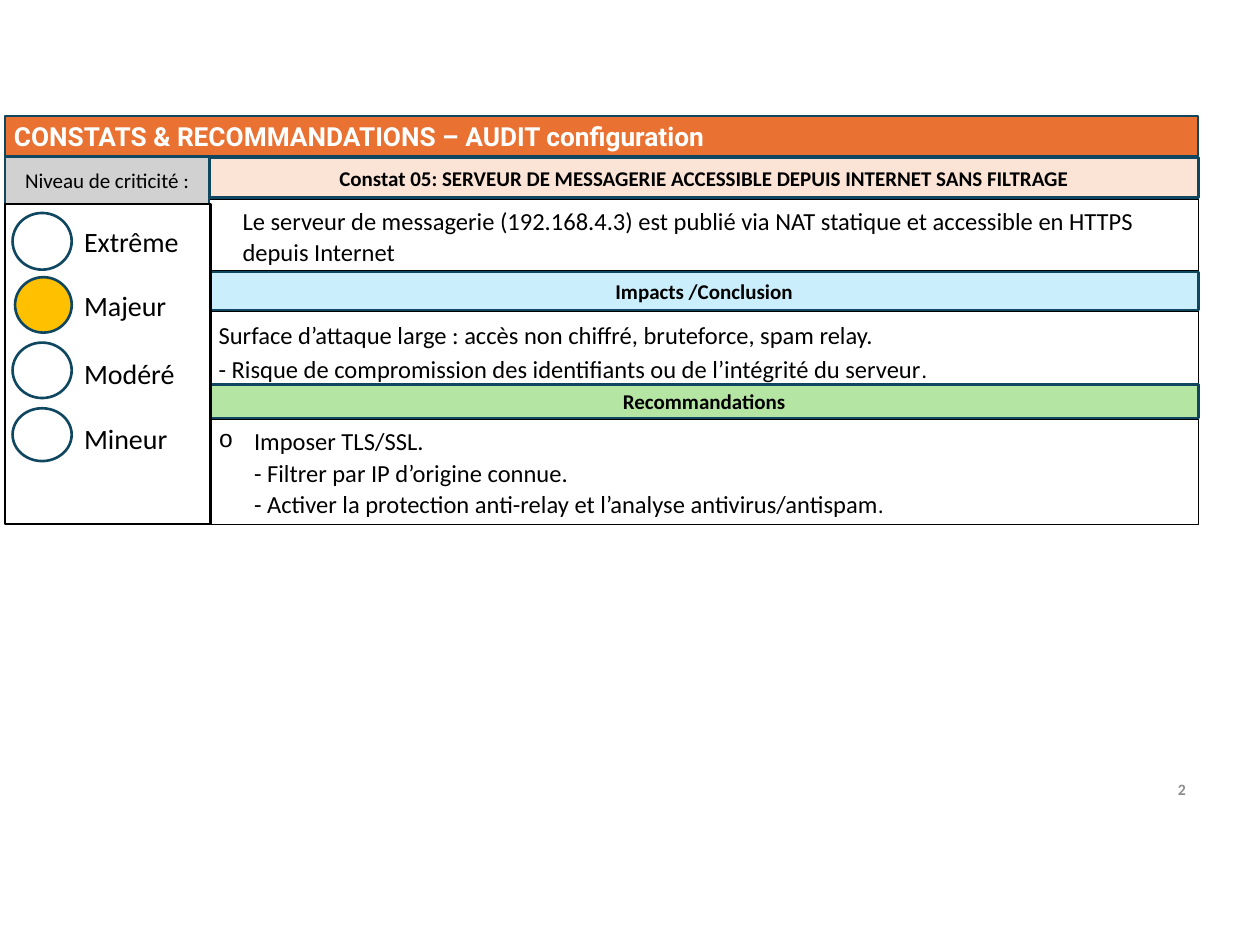
from lxml import etree
from pptx import Presentation
from pptx import util as u
from pptx.dml.color import RGBColor
from pptx.enum import shapes, text
from pptx.oxml.ns import qn

Pt = u.Pt
BLACK = RGBColor(0x00, 0x00, 0x00)
WHITE = RGBColor(0xFF, 0xFF, 0xFF)
NAVY = RGBColor(0x10, 0x47, 0x60)
ORANGE = RGBColor(0xE9, 0x71, 0x32)
PEACH = RGBColor(0xFB, 0xE3, 0xD6)
SKY = RGBColor(0xCA, 0xEE, 0xFB)
GREEN = RGBColor(0xB4, 0xE5, 0xA2)
SILVER = RGBColor(0xD1, 0xD1, 0xD1)
AMBER = RGBColor(0xFF, 0xC0, 0x00)
GREY = RGBColor(0x8C, 0x8C, 0x8C)

LEFT = 2.9
COLUMN_LEFT, COLUMN_WIDTH = 119.9, 565
LEVELS = [
    ("Extrême", 7.2, 121.7, 33.8, 32.4, 124.6),
    ("Majeur", 8.6, 158.4, 32.4, 31.7, 161.3),
    ("Modéré", 7.2, 195.8, 33.8, 31.7, 200.2),
    ("Mineur", 7.2, 233.3, 33.8, 30.2, 237.6),
]
BANDS = [
    ("Constat 05: SERVEUR DE MESSAGERIE ACCESSIBLE DEPUIS INTERNET SANS FILTRAGE", 90, 23, PEACH),
    ("Impacts /Conclusion", 155.5, 21.6, SKY),
    ("Recommandations", 219.6, 19.4, GREEN),
]
FINDING = ("Le serveur de messagerie (192.168.4.3) est publié via NAT statique "
           "et accessible en HTTPS depuis Internet")
IMPACTS = ("Surface d’attaque large : accès non chiffré, bruteforce, spam relay.\v"
           "- Risque de compromission des identifiants ou de l’intégrité du serveur")
ADVICE = ("Imposer TLS/SSL.\v- Filtrer par IP d’origine connue.\v"
          "- Activer la protection anti-relay et l’analyse antivirus/antispam")


def place(item, left, top, width, height):
    """Move and size an item, in points."""
    item.left, item.top, item.width, item.height = map(Pt, (left, top, width, height))


def paint(item, fill, line, weight):
    """Set the fill, if any, and the outline of an item."""
    if fill is None:
        item.fill.background()
    else:
        item.fill.solid()
        item.fill.fore_color.rgb = fill
    item.line.color.rgb = line
    item.line.width = Pt(weight)


def style(paragraph, size, color=BLACK, bold=False, align=text.PP_ALIGN.LEFT, face="Calibri"):
    """Set the font and alignment of a paragraph."""
    paragraph.alignment = align
    font = paragraph.font
    font.name, font.size, font.bold = face, Pt(size), bold
    font.color.rgb = color


def write(item, words, anchor=text.MSO_ANCHOR.TOP, inset=5.04):
    """Put one wrapped paragraph in an item and return it."""
    frame = item.text_frame
    frame.word_wrap = True
    frame.auto_size = text.MSO_AUTO_SIZE.NONE
    frame.vertical_anchor = anchor
    frame.margin_left = frame.margin_right = Pt(inset)
    frame.margin_top = frame.margin_bottom = Pt(inset / 2)
    paragraph = frame.paragraphs[0]
    paragraph.text = words
    return paragraph


def add_outline(slide, kind, box, fill, line=NAVY, weight=1.5):
    """Add a preset shape without shadow."""
    item = slide.shapes.add_shape(kind, *map(Pt, box))
    item.shadow.inherit = False
    paint(item, fill, line, weight)
    return item


def add_band(slide, words, box, fill, bold=True):
    """Add a coloured heading band."""
    band = add_outline(slide, shapes.MSO_SHAPE.RECTANGLE, box, fill)
    style(write(band, words, text.MSO_ANCHOR.MIDDLE), 12, bold=bold, align=text.PP_ALIGN.CENTER)


def add_passage(slide, words, top, height, spacing):
    """Add a framed passage in the right column and return its paragraph."""
    box = (COLUMN_LEFT, top, COLUMN_WIDTH, height)
    frame = add_outline(slide, shapes.MSO_SHAPE.RECTANGLE, box, None, BLACK, 0.75)
    passage = write(frame, words)
    passage.line_spacing = spacing
    style(passage, 14)
    return passage


def add_full_stop(paragraph):
    """End a paragraph with its Cambria full stop."""
    stop = paragraph.add_run()
    stop.text = "."
    stop.font.name, stop.font.size = "Cambria", Pt(13.5)


def indent(paragraph, margin, first=0, bullet=None):
    """Set the indents and bullet of a paragraph."""
    properties = paragraph._p.get_or_add_pPr()
    properties.set("marL", str(Pt(margin)))
    properties.set("indent", str(Pt(first)))
    if bullet:
        etree.SubElement(properties, qn("a:buFont"), typeface="Courier New")
        etree.SubElement(properties, qn("a:buChar"), char=bullet)


def add_label(slide, words, box, size, **look):
    """Add a plain text label."""
    label = slide.shapes.add_textbox(*map(Pt, box))
    style(write(label, words, inset=7.2), size, **look)
    return label


def fill_title(title):
    """Turn the title placeholder into the top banner."""
    place(title, LEFT, 66.2, 681.8, 23)
    paint(title, ORANGE, NAVY, 1.5)
    heading = write(title, "CONSTATS & RECOMMANDATIONS – AUDIT configuration", text.MSO_ANCHOR.MIDDLE)
    style(heading, 15, WHITE, True, face="Roboto")


def fill_advice(body):
    """Turn the body placeholder into the recommendation list."""
    place(body, COLUMN_LEFT, 239.8, COLUMN_WIDTH, 59.8)
    paint(body, None, BLACK, 0.75)
    advice = write(body, ADVICE)
    advice.line_spacing = 1.07
    advice.space_before = Pt(0)
    indent(advice, 20.2, -20.2, "o")
    style(advice, 14)
    add_full_stop(advice)


def add_levels(slide, current):
    """Add the criticality panel with the current level highlighted."""
    add_band(slide, "Niveau de criticité :", (LEFT, 89.3, 116.6, 27.4), SILVER, bold=False)
    add_outline(slide, shapes.MSO_SHAPE.RECTANGLE, (LEFT, 116.6, 117.4, 182.9), WHITE, BLACK)
    for level, left, top, width, height, label_top in LEVELS:
        fill = AMBER if level == current else None
        add_outline(slide, shapes.MSO_SHAPE.OVAL, (left, top, width, height), fill)
        add_label(slide, level, (41, label_top, 69.1, 26.6), 16)


def main():
    """Build the audit finding slide."""
    deck = Presentation()
    deck.slide_width, deck.slide_height = Pt(720), Pt(540)
    slide = deck.slides.add_slide(deck.slide_layouts[1])
    fill_title(slide.shapes.title)
    fill_advice(slide.placeholders[1])
    indent(add_passage(slide, FINDING, 113.8, 41, 1.07), 13.7)
    add_full_stop(add_passage(slide, IMPACTS, 177.8, 44.6, 1.15))
    for words, top, height, fill in BANDS:
        add_band(slide, words, (COLUMN_LEFT, top, COLUMN_WIDTH, height), fill)
    add_levels(slide, "Majeur")
    number = add_label(slide, "2", (522.7, 445.7, 162, 21.6), 9,
                       color=GREY, bold=True, align=text.PP_ALIGN.RIGHT)
    number.text_frame.margin_top = Pt(0)
    deck.save("out.pptx")


if __name__ == "__main__":
    main()
